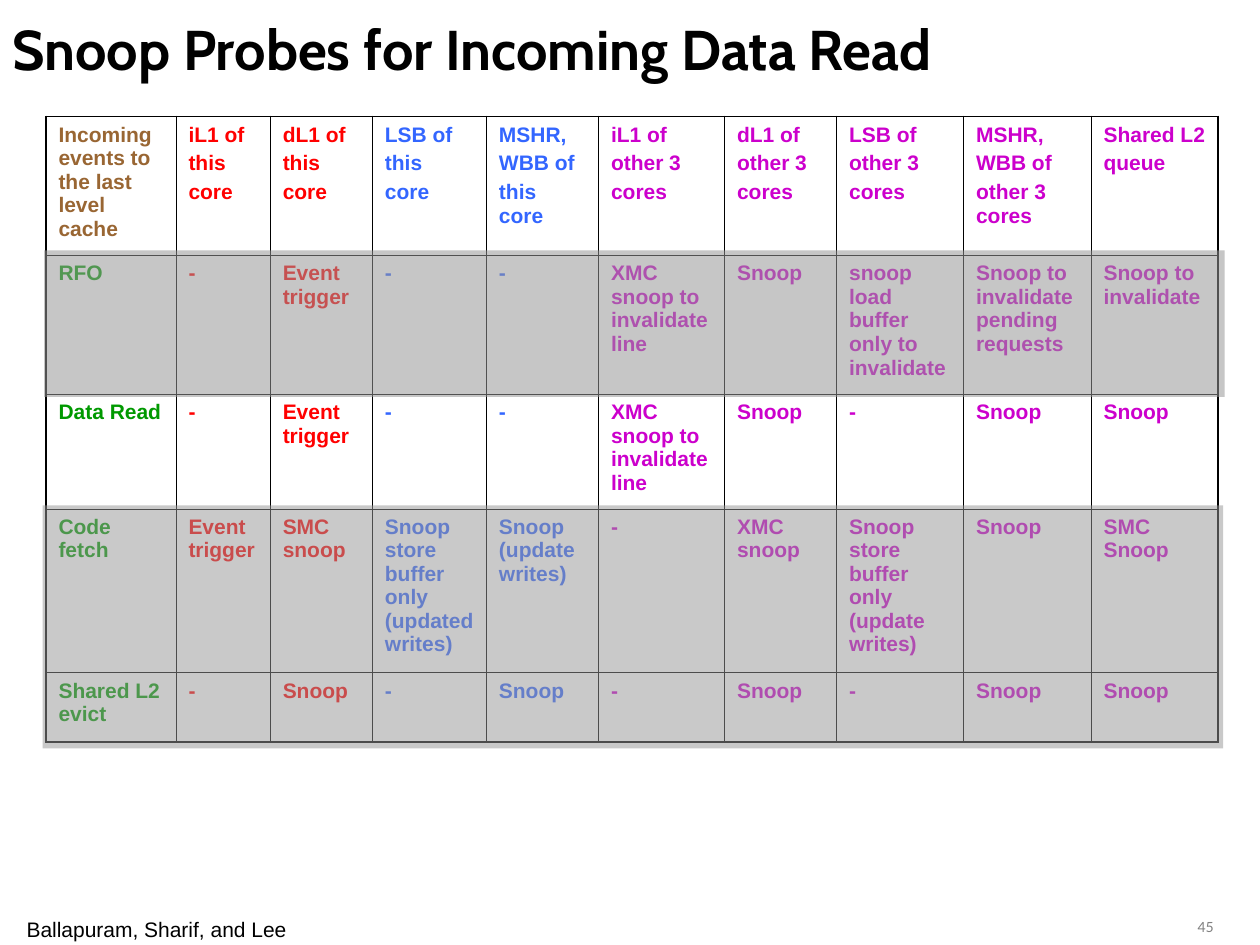
from typing import NamedTuple

from lxml.etree import SubElement
from pptx import Presentation
from pptx.dml.color import RGBColor
from pptx.enum.shapes import MSO_SHAPE as Shape
from pptx.enum.text import MSO_ANCHOR as Anchor, MSO_AUTO_SIZE as AutoSize, PP_ALIGN as Align
from pptx.oxml.ns import qn
from pptx.util import Cm, Pt

BLACK = RGBColor(0x00, 0x00, 0x00)
GRAY = RGBColor(0x80, 0x80, 0x80)
VEIL_GRAY = RGBColor(0x96, 0x96, 0x96)
BROWN = RGBColor(0x99, 0x66, 0x33)
GREEN = RGBColor(0x00, 0x99, 0x00)
RED = RGBColor(0xFF, 0x00, 0x00)
BLUE = RGBColor(0x33, 0x66, 0xFF)
MAGENTA = RGBColor(0xCC, 0x00, 0xCC)

INNER_LINE, OUTER_LINE = Pt(0.45), Pt(1.08)


class Column(NamedTuple):
    width: float
    color: RGBColor
    header: str
    cells: list[str]


class Veil(NamedTuple):
    left: float
    top: float
    width: float
    height: float
    opacity: int


class Label(NamedTuple):
    left: float
    top: float
    width: float
    height: float
    text: str
    font: str
    size: int
    color: RGBColor
    align: Align
    margins: tuple[float, float]
    wrap: bool


ROW_HEIGHTS = [2.8, 2.8, 2.31, 3.3, 1.4]
XMC_INVALIDATE = "XMC snoop to invalidate line"

# Each column holds its header, then RFO, Data Read, Code fetch, Shared L2 evict
COLUMNS = [
    Column(2.62, GREEN, "Incoming events to the last level cache",
           ["RFO", "Data Read", "Code fetch", "Shared L2 evict"]),
    Column(1.9, RED, "iL1 of\nthis\ncore", ["-", "-", "Event trigger", "-"]),
    Column(2.06, RED, "dL1 of\nthis\ncore",
           ["Event trigger", "Event trigger", "SMC snoop", "Snoop"]),
    Column(2.3, BLUE, "LSB of\nthis\ncore",
           ["-", "-", "Snoop store buffer only (updated writes)", "-"]),
    Column(2.26, BLUE, "MSHR,\nWBB of\nthis core",
           ["-", "-", "Snoop (update writes)", "Snoop"]),
    Column(2.54, MAGENTA, "iL1 of\nother 3\ncores",
           [XMC_INVALIDATE, XMC_INVALIDATE, "-", "-"]),
    Column(2.26, MAGENTA, "dL1 of\nother 3\ncores",
           ["Snoop", "Snoop", "XMC snoop", "Snoop"]),
    Column(2.56, MAGENTA, "LSB of\nother 3\ncores",
           ["snoop load buffer only to invalidate", "-",
            "Snoop store buffer only (update writes)", "-"]),
    Column(2.57, MAGENTA, "MSHR,\nWBB of\nother 3 cores",
           ["Snoop to invalidate pending requests", "Snoop", "Snoop", "Snoop"]),
    Column(2.56, MAGENTA, "Shared L2\nqueue",
           ["Snoop to invalidate", "Snoop", "SMC Snoop", "Snoop"]),
]

# Gray veils over the rows that are not under discussion
VEILS = [
    Veil(0.89, 5.05, 23.8, 2.95, 54),
    Veil(0.86, 10.19, 23.8, 4.9, 51),
]

LABELS = [
    Label(0.53, 18.47, 5.26, 0.51, "Ballapuram, Sharif, and Lee", "Arial", 12,
          BLACK, Align.CENTER, (0, 0), False),
    Label(23.04, 18.39, 1.68, 0.43, "45", "Lato", 8,
          GRAY, Align.RIGHT, (0.25, 0.13), True),
]


def set_margins(frame, horizontal: float, vertical: float) -> None:
    frame.margin_left = frame.margin_right = Cm(horizontal)
    frame.margin_top = frame.margin_bottom = Cm(vertical)


def set_font(paragraph, name: str, size: int, color: RGBColor, bold: bool = False) -> None:
    font = paragraph.font
    font.name, font.size, font.bold = name, Pt(size), bold
    font.color.rgb = color


def set_border(cell, side: str, width: int) -> None:
    line = SubElement(cell._tc.get_or_add_tcPr(), qn(f"a:{side}"), w=str(width))
    fill = SubElement(line, qn("a:solidFill"))
    SubElement(fill, qn("a:srgbClr"), val=str(BLACK))


def fill_cell(cell, text: str, color: RGBColor) -> None:
    set_margins(cell, 0.25, 0.13)
    cell.text_frame.text = text
    for index, paragraph in enumerate(cell.text_frame.paragraphs):
        if index:
            paragraph.space_before = Pt(3)
        set_font(paragraph, "Arial", 12, color, bold=True)


def add_title(slide, text: str) -> None:
    title = slide.shapes.title
    title.left, title.top, title.width, title.height = Cm(0), Cm(0), Cm(24.92), Cm(1.96)
    frame = title.text_frame
    frame.text = text
    frame.auto_size = AutoSize.NONE
    frame.vertical_anchor = Anchor.MIDDLE
    set_margins(frame, 0.25, 0.13)
    paragraph = frame.paragraphs[0]
    paragraph.alignment = Align.LEFT
    set_font(paragraph, "Cabin", 32, BLACK, bold=True)


def add_probe_table(slide, left: float, top: float) -> None:
    last_row, last_column = len(ROW_HEIGHTS) - 1, len(COLUMNS) - 1
    width = sum(column.width for column in COLUMNS)
    table = slide.shapes.add_table(last_row + 1, last_column + 1, Cm(left), Cm(top),
                                   Cm(width), Cm(sum(ROW_HEIGHTS))).table
    table.first_row = table.horz_banding = False
    for row, height in zip(table.rows, ROW_HEIGHTS):
        row.height = Cm(height)
    for x, column in enumerate(COLUMNS):
        table.columns[x].width = Cm(column.width)
        for y, text in enumerate([column.header, *column.cells]):
            cell = table.cell(y, x)
            fill_cell(cell, text, BROWN if x == y == 0 else column.color)
            edges = {"lnL": x == 0, "lnR": x == last_column,
                     "lnT": y == 0, "lnB": y == last_row}
            for side, is_outer in edges.items():
                set_border(cell, side, OUTER_LINE if is_outer else INNER_LINE)
            cell.fill.background()


def add_veil(slide, veil: Veil) -> None:
    shape = slide.shapes.add_shape(Shape.RECTANGLE, Cm(veil.left), Cm(veil.top),
                                   Cm(veil.width), Cm(veil.height))
    shape.shadow.inherit = False
    shape.line.fill.background()
    shape.fill.solid()
    shape.fill.fore_color.rgb = VEIL_GRAY
    color = shape._element.spPr.find(f"{qn('a:solidFill')}/{qn('a:srgbClr')}")
    SubElement(color, qn("a:alpha"), val=str(veil.opacity * 1000))


def add_label(slide, label: Label) -> None:
    box = slide.shapes.add_textbox(Cm(label.left), Cm(label.top),
                                   Cm(label.width), Cm(label.height))
    frame = box.text_frame
    frame.word_wrap = label.wrap
    set_margins(frame, *label.margins)
    frame.text = label.text
    paragraph = frame.paragraphs[0]
    paragraph.alignment = label.align
    set_font(paragraph, label.font, label.size, label.color)


def main() -> None:
    presentation = Presentation()
    presentation.slide_width, presentation.slide_height = Cm(25.4), Cm(19.05)
    slide = presentation.slides.add_slide(presentation.slide_layouts[5])

    add_title(slide, "Snoop Probes for Incoming Data Read")
    add_probe_table(slide, 0.93, 2.35)
    for veil in VEILS:
        add_veil(slide, veil)
    for label in LABELS:
        add_label(slide, label)

    presentation.save("out.pptx")


if __name__ == "__main__":
    main()
